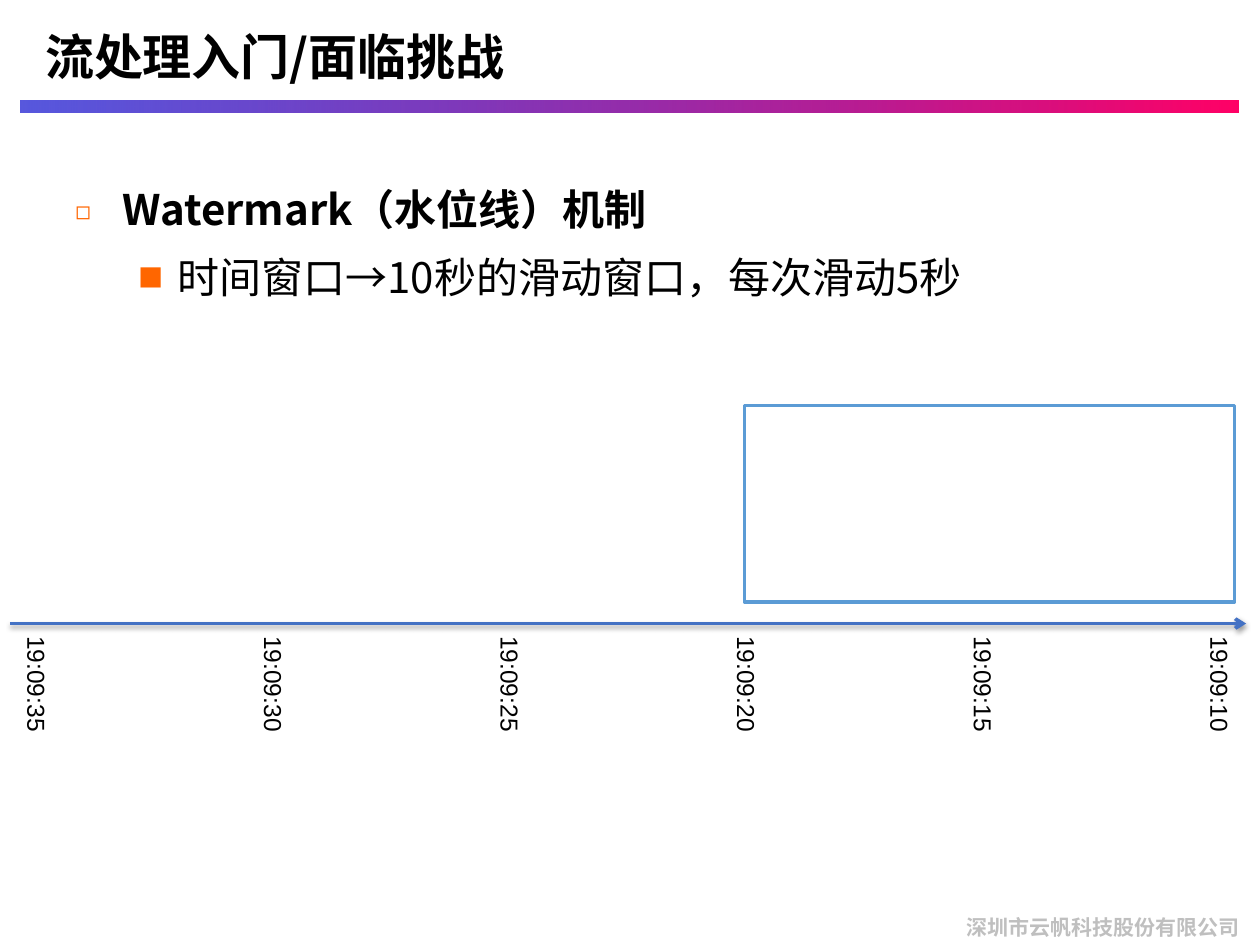
from lxml import etree
from pptx import Presentation
from pptx import util as u
from pptx.dml.color import RGBColor
from pptx.enum import shapes, text
from pptx.oxml import parse_xml
from pptx.oxml.ns import qn

CJK, LATIN = "Noto Sans CJK SC", "Arial"
NS = 'xmlns:a="http://schemas.openxmlformats.org/drawingml/2006/main"'

TITLE = "流处理入门/面临挑战"
FOOTER = "深圳市云帆科技股份有限公司"
# text, bold, bullet, text indent in cm, hanging indent in cm
BULLETS = [
    ("Watermark（水位线）机制", True, "◻", 0.95, 0.95),
    ("时间窗口→10秒的滑动窗口，每次滑动5秒", False, "■", 2.06, 0.79),
]
TIMES = ["19:09:35", "19:09:30", "19:09:25", "19:09:20", "19:09:15", "19:09:10"]
FIRST_TICK, TICK_STEP = 0.74, 4.77
TICK_Y, TICK_W, TICK_H = 13.82, 2.49, 0.86
AXIS_Y, AXIS_START, AXIS_END = 12.57, 0.2, 25.12


def color(value):
    return RGBColor.from_string(value)


def style(p, size, font, value="000000", bold=False):
    """Format every run of a paragraph, East Asian font included."""
    for r in p.runs:
        r.font.size, r.font.bold, r.font.name = u.Pt(size), bold, font
        r.font.color.rgb = color(value)
        etree.SubElement(r.font._element, qn("a:ea"), typeface=font)


def add_text(s, content, left, top, width, height, size, font, wrap=False, **kw):
    sp = s.shapes.add_textbox(u.Cm(left), u.Cm(top), u.Cm(width), u.Cm(height))
    tf = sp.text_frame
    tf.text, tf.word_wrap = content, wrap
    style(tf.paragraphs[0], size, font, **kw)
    return sp


def add_bullet(p, char, indent, hanging):
    pPr = p._p.get_or_add_pPr()
    pPr.set("marL", str(u.Cm(indent)))
    pPr.set("indent", str(-u.Cm(hanging)))
    for xml in (
        f'<a:buClr {NS}><a:srgbClr val="FF6600"/></a:buClr>',
        f'<a:buSzPct {NS} val="60000"/>',
        f'<a:buFont {NS} typeface="{CJK}"/>',
        f'<a:buChar {NS} char="{char}"/>',
    ):
        pPr.append(parse_xml(xml))


def add_rect(s, left, top, width, height):
    sp = s.shapes.add_shape(shapes.MSO_SHAPE.RECTANGLE, u.Cm(left), u.Cm(top),
                            u.Cm(width), u.Cm(height))
    sp.shadow.inherit = False
    return sp


def add_header(s):
    bar = add_rect(s, 0.41, 2.03, 24.55, 0.23)
    bar.line.fill.background()
    bar.fill.gradient()
    bar.fill.gradient_angle = 0
    for stop, value in zip(bar.fill.gradient_stops, ("0000CC", "FF0066")):
        stop.color.rgb = color(value)
    start = bar._element.spPr.find(".//" + qn("a:srgbClr"))
    etree.SubElement(start, qn("a:alpha"), val="66000")

    title = add_text(s, TITLE, 0.41, 0, 20.93, 2.24, 28, CJK, wrap=True, bold=True)
    title.text_frame.margin_left = u.Cm(0.5)
    title.text_frame.vertical_anchor = text.MSO_ANCHOR.MIDDLE


def add_body(s):
    sp = s.shapes.add_textbox(u.Cm(1.27), u.Cm(3.33), u.Cm(22.86), u.Cm(14.45))
    tf = sp.text_frame
    tf.word_wrap = True
    for i, (content, bold, char, indent, hanging) in enumerate(BULLETS):
        p = tf.add_paragraph() if i else tf.paragraphs[0]
        p.text, p.level = content, i
        p.line_spacing, p.space_before = 1.25, u.Pt(2.4)
        style(p, 24, CJK, bold=bold)
        add_bullet(p, char, indent, hanging)


def add_timeline(s):
    axis = s.shapes.add_connector(shapes.MSO_CONNECTOR.STRAIGHT, u.Cm(AXIS_START),
                                  u.Cm(AXIS_Y), u.Cm(AXIS_END), u.Cm(AXIS_Y))
    axis.line.color.rgb, axis.line.width = color("4472C4"), u.Pt(2)
    etree.SubElement(axis.line._get_or_add_ln(), qn("a:tailEnd"), type="arrow")
    axis._element.spPr.append(parse_xml(
        f'<a:effectLst {NS}><a:outerShdw blurRad="{u.Pt(3.1)}" dist="{u.Pt(1.6)}" '
        'dir="5400000" rotWithShape="0"><a:srgbClr val="000000">'
        '<a:alpha val="38000"/></a:srgbClr></a:outerShdw></a:effectLst>'))

    for i, time in enumerate(TIMES):
        center = FIRST_TICK + i * TICK_STEP
        label = add_text(s, time, center - TICK_W / 2, TICK_Y - TICK_H / 2,
                         TICK_W, TICK_H, 14, LATIN)
        label.rotation = 90

    window = add_rect(s, 15.01, 8.18, 9.88, 3.96)
    window.fill.solid()
    window.fill.fore_color.rgb = color("FFFFFF")
    window.line.color.rgb, window.line.width = color("5B9BD5"), u.Pt(2)


def main():
    prs = Presentation()
    prs.slide_width, prs.slide_height = u.Cm(25.4), u.Cm(19.05)
    s = prs.slides.add_slide(prs.slide_layouts[6])
    add_header(s)
    add_text(s, FOOTER, 19.23, 18.31, 6.27, 0.84, 12, CJK, value="BFBFBF", bold=True)
    add_body(s)
    add_timeline(s)
    prs.save("out.pptx")


if __name__ == "__main__":
    main()
